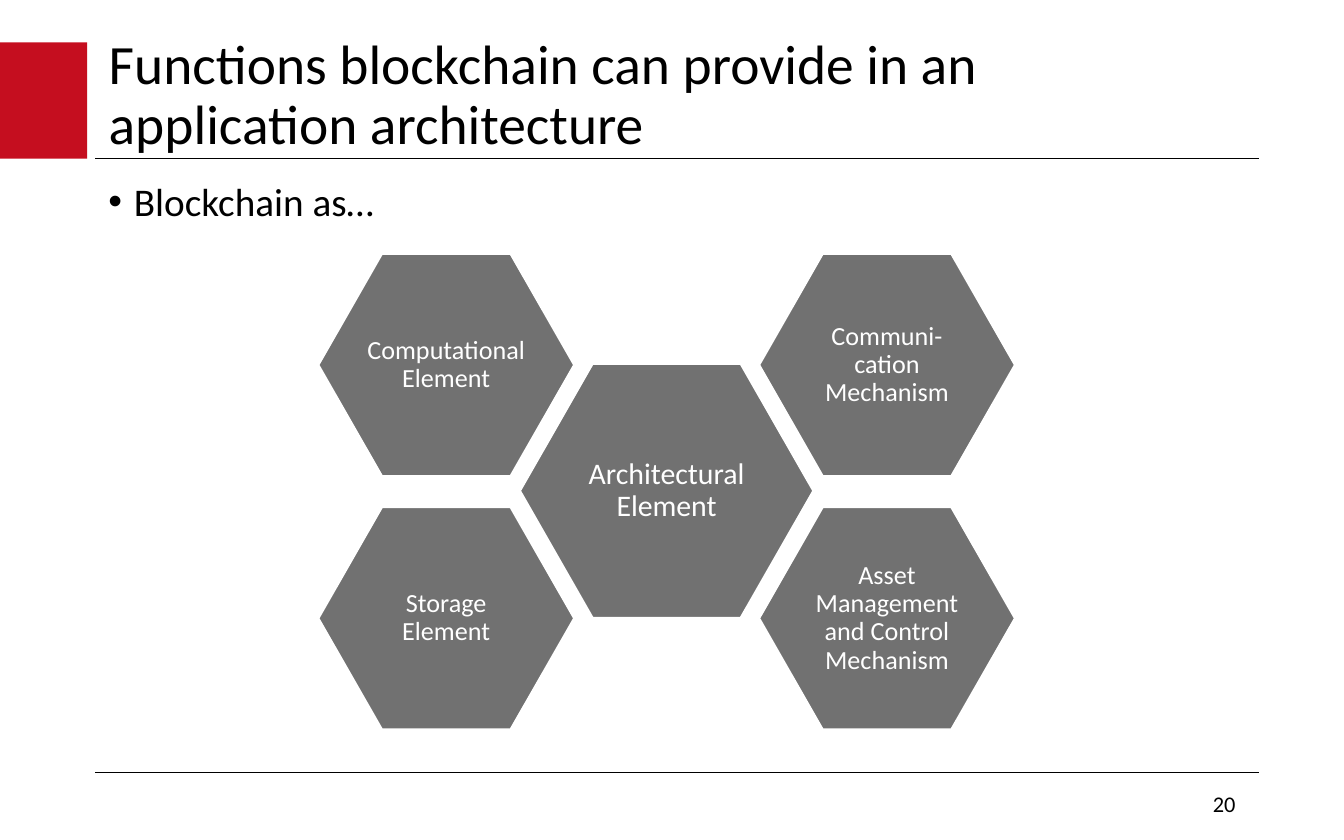
from lxml.etree import SubElement
from pptx import Presentation
from pptx.dml.color import RGBColor
from pptx.enum.shapes import MSO_CONNECTOR, MSO_SHAPE
from pptx.enum.text import MSO_ANCHOR, MSO_AUTO_SIZE, PP_ALIGN
from pptx.oxml.ns import qn
from pptx.util import Cm, Pt


def rgb(value):
    return RGBColor.from_string(value)


def style(tf, size, color="000000", align=PP_ALIGN.LEFT, anchor=MSO_ANCHOR.MIDDLE):
    tf.word_wrap = True
    tf.auto_size = MSO_AUTO_SIZE.NONE
    tf.vertical_anchor = anchor
    p = tf.paragraphs[0]
    p.alignment = align
    p.line_spacing = 0.9
    for r in p.runs:
        r.font.name = "Calibri"
        r.font.size = Pt(size)
        r.font.color.rgb = rgb(color)


prs = Presentation()
prs.slide_width, prs.slide_height = Cm(25.4), Cm(15.88)
s = prs.slides.add_slide(prs.slide_layouts[5])

# Red block beside the title
block = s.shapes.add_shape(MSO_SHAPE.RECTANGLE, Cm(0), Cm(0.8), Cm(1.65), Cm(2.2))
block.shadow.inherit = False
block.fill.solid()
block.fill.fore_color.rgb = rgb("C50E1F")
block.line.fill.background()

# Rules under the title and above the footer
for y in (3, 14.6):
    rule = s.shapes.add_connector(MSO_CONNECTOR.STRAIGHT, Cm(1.8), Cm(y), Cm(23.8), Cm(y))
    rule.line.color.rgb = rgb("000000")
    rule.line.width = Pt(0.75)
    SubElement(rule._element.spPr, qn("a:effectLst"))

# Title
title = s.shapes.title
title.left, title.top, title.width, title.height = Cm(1.8), Cm(0.8), Cm(18.4), Cm(2.05)
title.text_frame.text = "Functions blockchain can provide in an application architecture"
style(title.text_frame, 29.7)

# Bullet
body = s.shapes.add_textbox(Cm(1.8), Cm(3.33), Cm(22), Cm(1.2))
tf = body.text_frame
tf.text = "Blockchain as…"
pPr = tf.paragraphs[0]._p.get_or_add_pPr()
pPr.set("marL", str(Cm(0.48)))
pPr.set("indent", str(-Cm(0.48)))
SubElement(pPr, qn("a:buFont"), typeface="Arial")
SubElement(pPr, qn("a:buChar"), char="•")
style(tf, 21, anchor=MSO_ANCHOR.TOP)

# Slide number
number = s.shapes.add_textbox(Cm(18.64), Cm(14.91), Cm(5.16), Cm(0.64))
number.text_frame.text = "20"
number.text_frame.margin_right = Cm(0.45)
style(number.text_frame, 12, align=PP_ALIGN.RIGHT)

# Hexagons: four roles around the central one
left, right, upper, lower = 6.02, 14.35, 4.8, 9.59
corner = (4.83, 4.2, 14)
hexagons = [
    ("Architectural Element", 9.83, 6.88, 5.54, 4.8, 16),
    ("Communi-cation Mechanism", right, upper, *corner),
    ("Asset Management and Control Mechanism", right, lower, *corner),
    ("Storage Element", left, lower, *corner),
    ("Computational Element", left, upper, *corner),
]
for text, x, y, w, h, size in hexagons:
    sp = s.shapes.add_shape(MSO_SHAPE.HEXAGON, Cm(x), Cm(y), Cm(w), Cm(h))
    sp.adjustments[0] = 0.286
    sp.adjustments[1] = 1.155
    sp.shadow.inherit = False
    sp.fill.solid()
    sp.fill.fore_color.rgb = rgb("717171")
    sp.line.color.rgb = rgb("FFFFFF")
    sp.line.width = Pt(1)
    tf = sp.text_frame
    tf.margin_left = tf.margin_right = tf.margin_top = tf.margin_bottom = Cm(0.05)
    tf.text = text
    style(tf, size, "FFFFFF", PP_ALIGN.CENTER)

prs.save("out.pptx")
